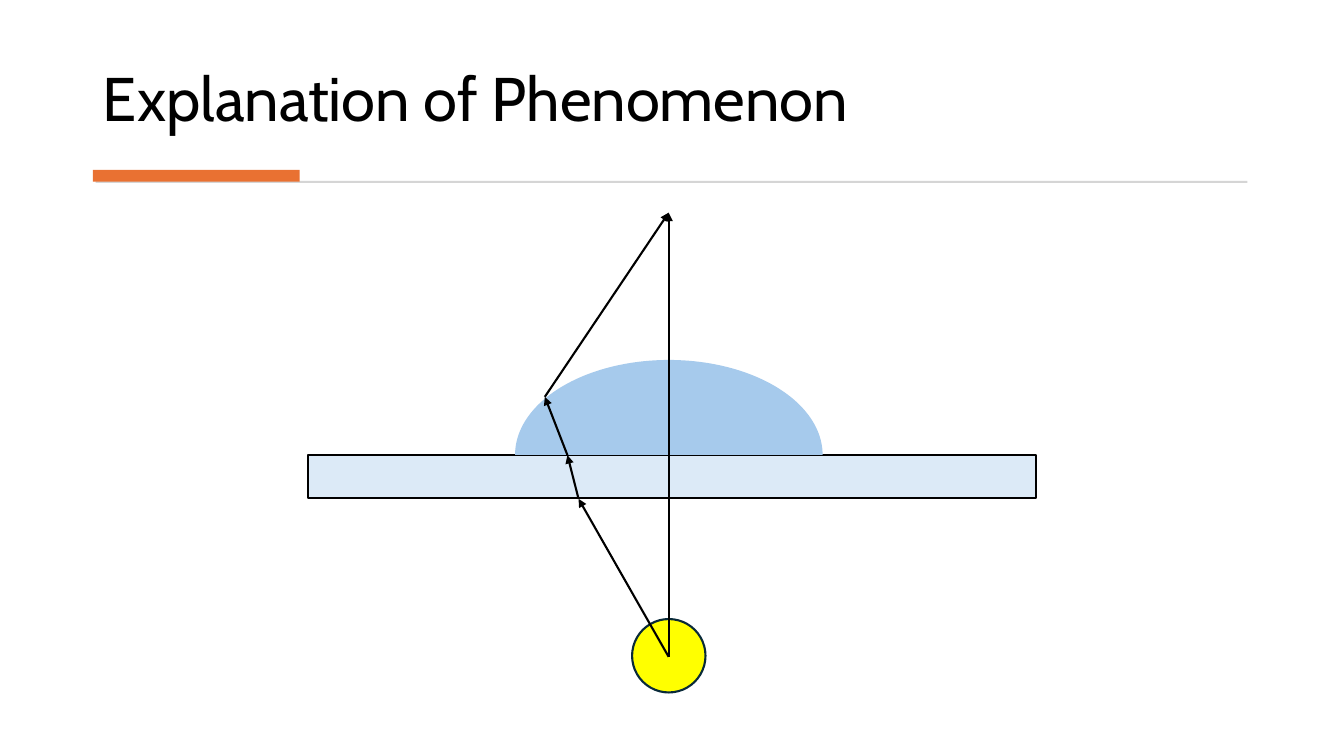
from itertools import pairwise

from pptx import Presentation
from pptx.dml.color import RGBColor
from pptx.enum.shapes import MSO_CONNECTOR, MSO_SHAPE
from pptx.enum.text import MSO_ANCHOR, MSO_AUTO_SIZE, PP_ALIGN
from pptx.oxml.ns import qn
from pptx.util import Cm, Pt
from lxml.etree import SubElement


def colour(value):
    return RGBColor.from_string(value)


class Deck:
    font = "Cabin"
    ink = "000000"
    line_width = Pt(1.5)

    def __init__(self, prs):
        self.s = prs.slides.add_slide(prs.slide_layouts[5])

    def title(self, text, x, y, w, h):
        sp = self.s.shapes.title
        sp.left, sp.top, sp.width, sp.height = Cm(x), Cm(y), Cm(w), Cm(h)
        tf = sp.text_frame
        tf.word_wrap = True
        tf.auto_size = MSO_AUTO_SIZE.NONE
        tf.vertical_anchor = MSO_ANCHOR.BOTTOM
        p = tf.paragraphs[0]
        p.alignment = PP_ALIGN.LEFT
        p.line_spacing = 0.9
        r = p.add_run()
        r.text = text
        r.font.name = self.font
        r.font.size = Pt(44)
        r.font.color.rgb = colour(self.ink)

    def shape(self, kind, x, y, w, h, fill, line=None):
        sp = self.s.shapes.add_shape(kind, Cm(x), Cm(y), Cm(w), Cm(h))
        sp.shadow.inherit = False
        sp.fill.solid()
        sp.fill.fore_color.rgb = colour(fill)
        if line:
            sp.line.color.rgb = colour(line)
            sp.line.width = self.line_width
        else:
            sp.line.fill.background()
        return sp

    def dome(self, x, y, w, h, fill):
        sp = self.shape(MSO_SHAPE.PIE, x, y, w, h, fill)
        sp.adjustments[0] = 0
        sp.adjustments[1] = 108
        sp.rotation = 180

    def arrow(self, start, end):
        ends = [Cm(v) for v in (*start, *end)]
        c = self.s.shapes.add_connector(MSO_CONNECTOR.STRAIGHT, *ends)
        c.line.color.rgb = colour(self.ink)
        c.line.width = self.line_width
        SubElement(c.line._get_or_add_ln(), qn("a:tailEnd"), type="triangle")
        SubElement(c._element.spPr, qn("a:effectLst"))

    def ray(self, *points):
        for start, end in pairwise(points):
            self.arrow(start, end)


def main():
    prs = Presentation()
    prs.slide_width, prs.slide_height = Cm(33.87), Cm(19.05)
    deck = Deck(prs)

    deck.title("Explanation of Phenomenon", 2.34, 0.71, 29.18, 2.82)
    deck.shape(MSO_SHAPE.RECTANGLE, 2.41, 4.56, 29.03, 0.05, "D5D5D5")
    deck.shape(MSO_SHAPE.RECTANGLE, 2.34, 4.28, 5.21, 0.3, "E97132")

    deck.shape(MSO_SHAPE.RECTANGLE, 7.77, 11.46, 18.34, 1.09, "DCEAF7", deck.ink)
    deck.dome(12.98, 9.07, 7.75, 4.78, "A6CAEC")
    deck.shape(MSO_SHAPE.OVAL, 15.93, 15.6, 1.85, 1.85, "FFFF00", "092A39")

    lamp, eye = (16.85, 16.55), (16.85, 5.36)
    glass_bottom, glass_top, drop_surface = (14.58, 12.57), (14.3, 11.47), (13.73, 10)
    deck.ray(lamp, eye)
    deck.ray(lamp, glass_bottom, glass_top, drop_surface, eye)

    prs.save("out.pptx")


if __name__ == "__main__":
    main()
